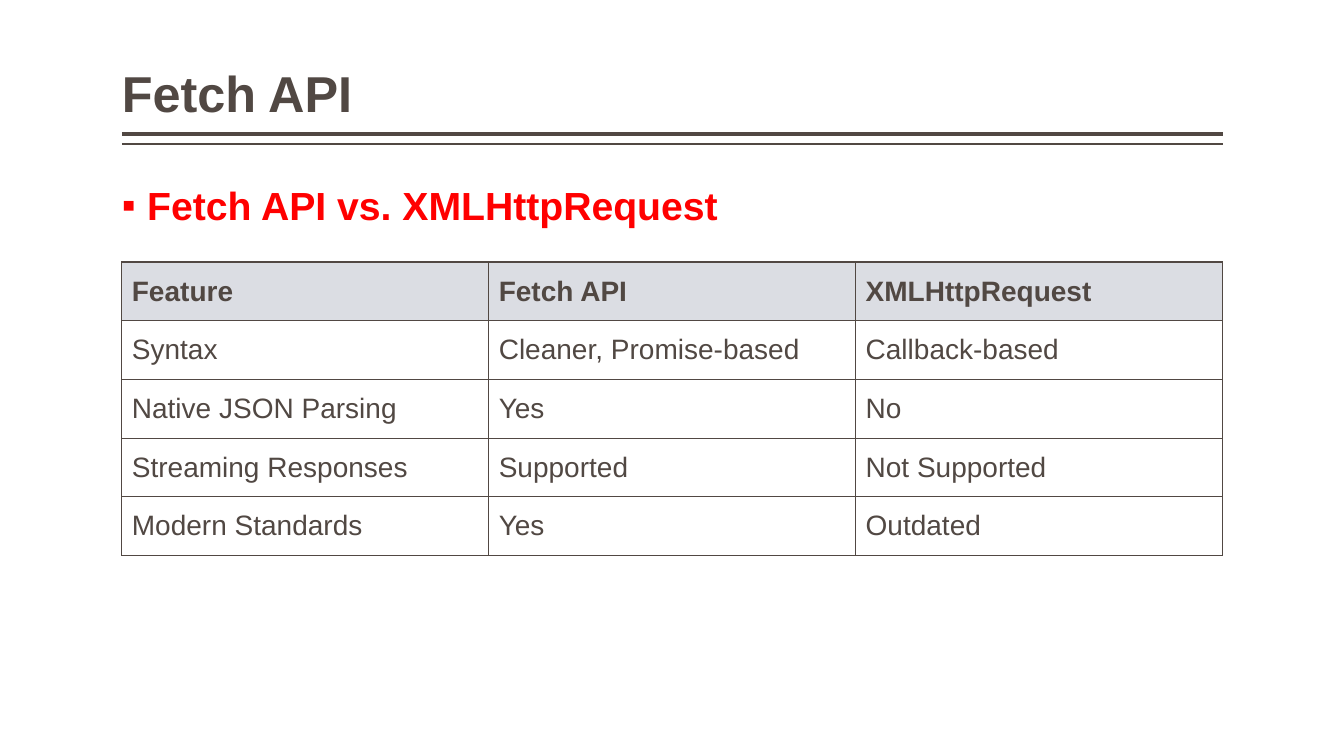
from lxml.etree import SubElement
from pptx import Presentation
from pptx.dml.color import RGBColor
from pptx.enum.shapes import MSO_CONNECTOR as Line
from pptx.enum.text import MSO_ANCHOR as Anchor, MSO_AUTO_SIZE as Fit, PP_ALIGN as Align
from pptx.oxml.ns import qn
from pptx.util import Cm, Pt

TITLE = "Fetch API"
TOPIC = "Fetch API vs. XMLHttpRequest"
ROWS = [
    ("Feature", "Fetch API", "XMLHttpRequest"),
    ("Syntax", "Cleaner, Promise-based", "Callback-based"),
    ("Native JSON Parsing", "Yes", "No"),
    ("Streaming Responses", "Supported", "Not Supported"),
    ("Modern Standards", "Yes", "Outdated"),
]
RULES = [(3.38, 3), (3.63, 1)]  # top in cm, weight in points

FONT = "Arial"
INK = RGBColor(0x51, 0x48, 0x43)
RED = RGBColor(0xFF, 0x00, 0x00)
HEAD = RGBColor(0xDB, 0xDD, 0xE3)

LEFT, WIDTH = Cm(3.07), Cm(27.74)
ROW_H = Cm(1.48)


def write(para, text, size, color, bold):
    run = para.add_run()
    run.text = text
    font = run.font
    font.name, font.size, font.bold = FONT, Pt(size), bold
    font.color.rgb = color


def place(holder, top, height, anchor):
    """Move a placeholder, set its frame and return its first paragraph."""
    holder.left, holder.top, holder.width, holder.height = LEFT, top, WIDTH, height
    frame = holder.text_frame
    frame.word_wrap, frame.auto_size = True, Fit.NONE
    frame.vertical_anchor = anchor
    frame.margin_left = frame.margin_right = 0
    frame.margin_top = frame.margin_bottom = Cm(0.13)
    para = frame.paragraphs[0]
    para.alignment = Align.LEFT
    return para


def add_bullet(para, mark, indent):
    props = para._p.get_or_add_pPr()
    props.set("marL", str(indent))
    props.set("indent", str(-indent))
    SubElement(props, qn("a:buFont"), typeface=FONT)
    SubElement(props, qn("a:buChar"), char=mark)
    para.space_before = Pt(0)


def add_border(cell):
    props = cell._tc.get_or_add_tcPr()
    for spot, side in enumerate(("lnL", "lnR", "lnT", "lnB")):
        edge = props.makeelement(qn("a:" + side), {"w": str(Pt(1))})
        props.insert(spot, edge)
        fill = SubElement(edge, qn("a:solidFill"))
        SubElement(fill, qn("a:srgbClr"), val=str(INK))


def add_rule(slide, top, weight):
    rule = slide.shapes.add_connector(Line.STRAIGHT, LEFT, top, LEFT + WIDTH, top)
    rule.line.color.rgb = INK
    rule.line.width = Pt(weight)
    SubElement(rule._element.spPr, qn("a:effectLst"))


def add_grid(slide):
    count = len(ROWS[0])
    table = slide.shapes.add_table(
        len(ROWS), count, LEFT, Cm(6.6), WIDTH, ROW_H * len(ROWS)).table
    for col in table.columns:
        col.width = WIDTH // count
    for i, row in enumerate(ROWS):
        table.rows[i].height = ROW_H
        for j, text in enumerate(row):
            cell = table.cell(i, j)
            cell.vertical_anchor = Anchor.MIDDLE
            if i == 0:
                cell.fill.solid()
                cell.fill.fore_color.rgb = HEAD
            else:
                cell.fill.background()
            add_border(cell)
            write(cell.text_frame.paragraphs[0], text, 20, INK, i == 0)


def main():
    deck = Presentation()
    deck.slide_width, deck.slide_height = Cm(33.87), Cm(19.05)
    slide = deck.slides.add_slide(deck.slide_layouts[1])
    for top, weight in RULES:
        add_rule(slide, Cm(top), weight)

    title = place(slide.shapes.title, Cm(0.2), Cm(3.05), Anchor.BOTTOM)
    title.line_spacing = 0.9
    write(title, TITLE, 36, INK, True)

    topic = place(slide.placeholders[1], Cm(4.45), Cm(12.7), Anchor.TOP)
    add_bullet(topic, "▪", Cm(0.64))
    write(topic, TOPIC, 28, RED, True)

    add_grid(slide)
    deck.save("out.pptx")


if __name__ == "__main__":
    main()
